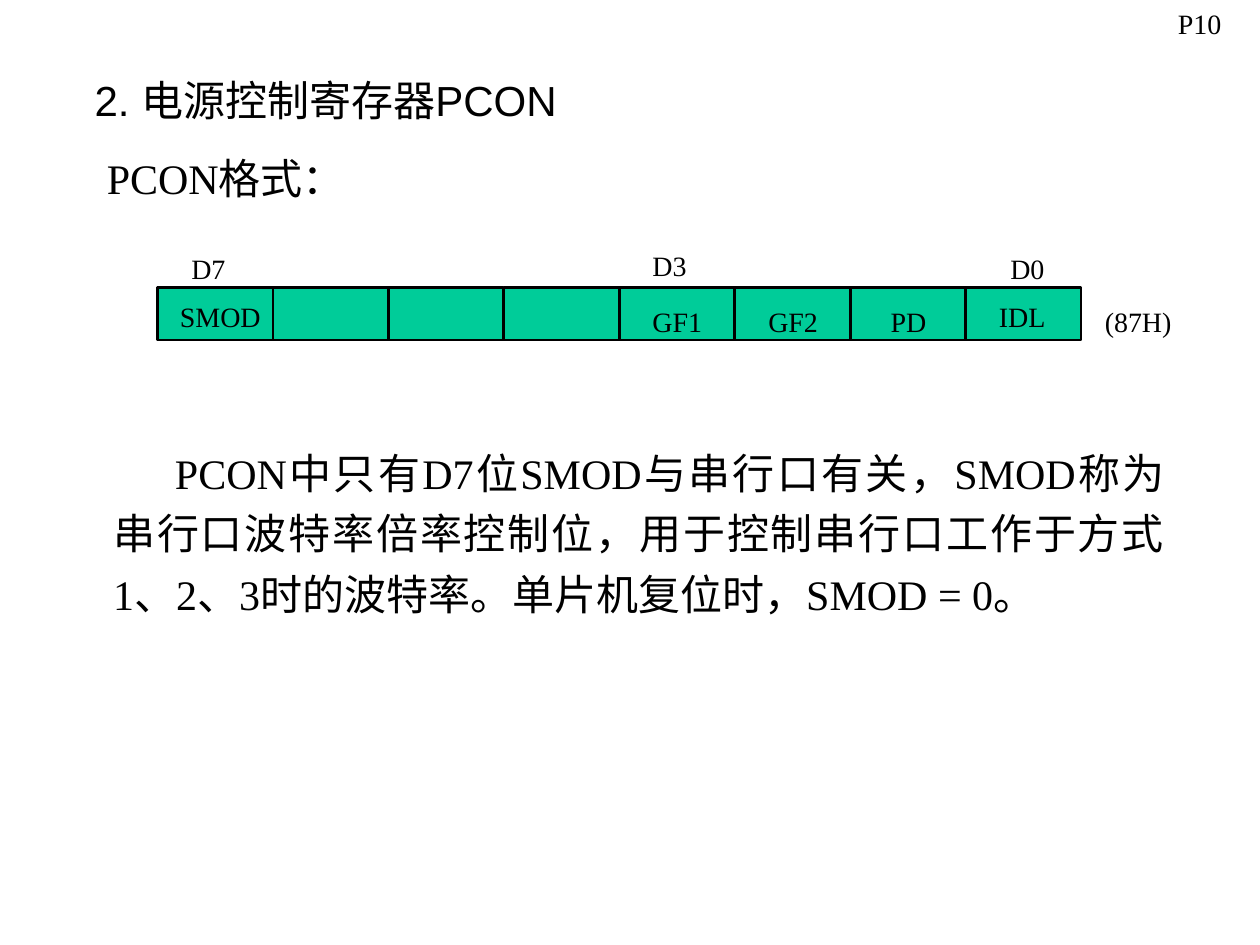
from dataclasses import dataclass

import pptx
import pptx.dml.color
import pptx.enum.shapes
import pptx.enum.text
import pptx.util
from pptx.util import Inches

ALIGN = pptx.enum.text.PP_ALIGN
ANCHOR = pptx.enum.text.MSO_ANCHOR


@dataclass(frozen=True)
class Theme:
    ink = pptx.dml.color.RGBColor(0x00, 0x00, 0x00)
    cell = pptx.dml.color.RGBColor(0x00, 0xCC, 0x99)
    heading_font = "Arial"
    text_font = "Times New Roman"
    text_size = pptx.util.Pt(24)
    label_size = pptx.util.Pt(16)
    border = pptx.util.Pt(1.5)


THEME = Theme()

BIT_COUNT = 8
REGISTER_LEFT, REGISTER_TOP = 1.25, 2.28
REGISTER_WIDTH, REGISTER_HEIGHT = 7.33, 0.42
LABEL_HEIGHT = 0.37

REGISTER_LABELS = [
    ("D7", 1.42, 1.95, 0.58),
    ("D3", 5.08, 1.92, 0.58),
    ("D0", 7.92, 1.95, 0.5),
    ("SMOD", 1.33, 2.33, 1.08),
    ("GF1", 5.08, 2.37, 0.75),
    ("GF2", 6, 2.37, 0.83),
    ("PD", 6.97, 2.37, 0.87),
    ("IDL", 7.83, 2.33, 0.67),
    ("(87H)", 8.67, 2.37, 0.83),
]


def add_text(shapes, text, left, top, width, height, size, font=THEME.text_font):
    box = shapes.add_textbox(Inches(left), Inches(top), Inches(width), Inches(height))
    box.text_frame.word_wrap = True
    paragraph = box.text_frame.paragraphs[0]
    paragraph.text = text
    paragraph.font.name = font
    paragraph.font.size = size
    paragraph.font.color.rgb = THEME.ink
    return box


def add_label(shapes, text, left, top, width):
    box = add_text(shapes, text, left, top, width, LABEL_HEIGHT, THEME.label_size)
    box.text_frame.auto_size = pptx.enum.text.MSO_AUTO_SIZE.SHAPE_TO_FIT_TEXT


def add_title(page, text):
    box = add_text(page.shapes, text, 0.5, 0.58, 4.17, 0.42,
                   THEME.text_size, THEME.heading_font)
    box.text_frame.vertical_anchor = ANCHOR.MIDDLE
    box.text_frame.paragraphs[0].alignment = ALIGN.CENTER


def add_body(page, text, left, top, width, height, margin, indent):
    box = add_text(page.shapes, text, left, top, width, height, THEME.text_size)
    paragraph = box.text_frame.paragraphs[0]
    paragraph.alignment = ALIGN.JUSTIFY
    paragraph.line_spacing = 1.2
    properties = paragraph._p.get_or_add_pPr()
    properties.set("marL", str(Inches(margin)))
    properties.set("indent", str(Inches(indent)))


def add_register(page):
    register = page.shapes.add_group_shape()
    bit_width = REGISTER_WIDTH / BIT_COUNT
    for bit in range(BIT_COUNT):
        cell = register.shapes.add_shape(
            pptx.enum.shapes.MSO_SHAPE.RECTANGLE,
            Inches(REGISTER_LEFT + bit * bit_width), Inches(REGISTER_TOP),
            Inches(bit_width), Inches(REGISTER_HEIGHT))
        cell.shadow.inherit = False
        cell.fill.solid()
        cell.fill.fore_color.rgb = THEME.cell
        cell.line.color.rgb = THEME.ink
        cell.line.width = THEME.border
    for label in REGISTER_LABELS:
        add_label(register.shapes, *label)


def main():
    deck = pptx.Presentation()
    deck.slide_width, deck.slide_height = Inches(10), Inches(7.5)
    page = deck.slides.add_slide(deck.slide_layouts[6])
    add_title(page, "2. 电源控制寄存器PCON")
    add_body(page, "PCON格式：", 0.75, 1.08, 3.17, 0.58, 0.38, -0.38)
    add_body(page,
             "PCON中只有D7位SMOD与串行口有关，SMOD称为串行口波特率倍率控制位，"
             "用于控制串行口工作于方式1、2、3时的波特率。单片机复位时，SMOD = 0。",
             0.42, 3.42, 8.92, 1.92, 0.38, 0.49)
    add_register(page)
    add_label(page.shapes, "P10", 9.25, 0, 1.08)
    deck.save("out.pptx")


if __name__ == "__main__":
    main()
